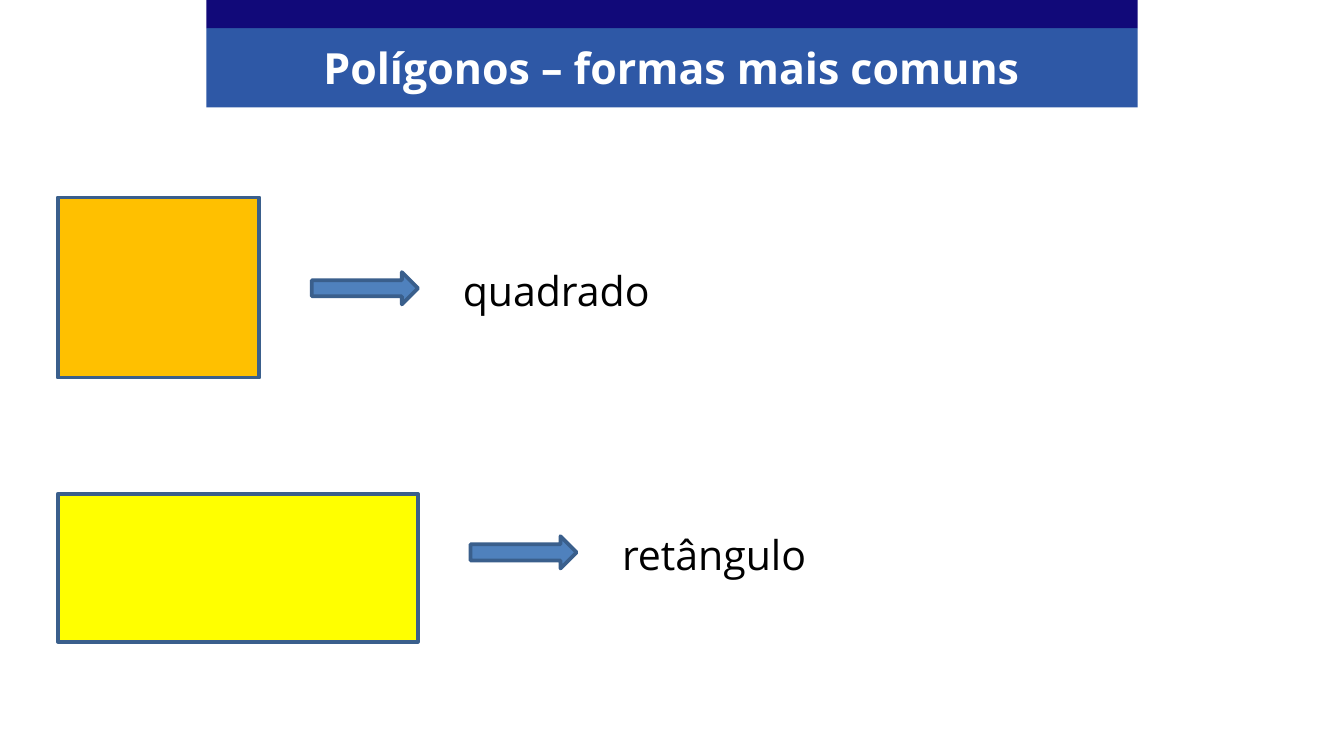
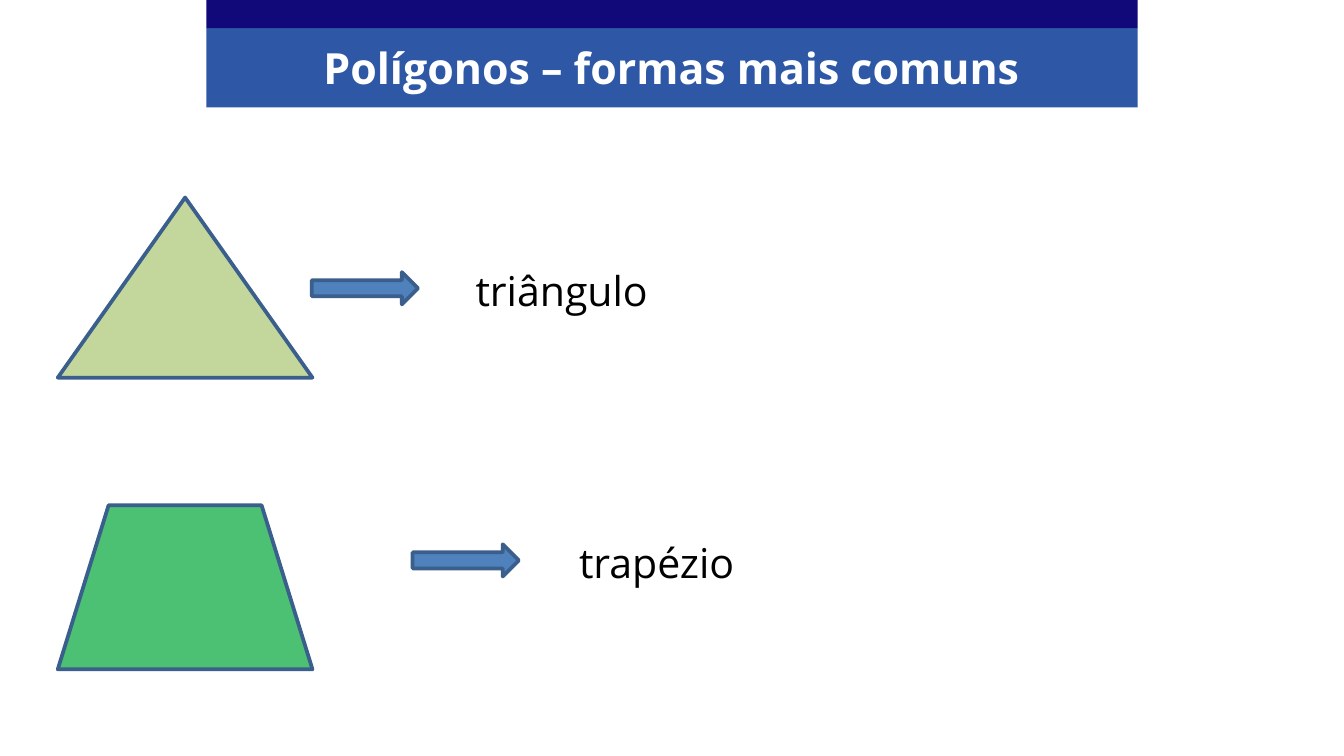
"""Build two slides that name the most common polygons."""
import pptx
import pptx.dml.color
import pptx.enum.shapes
import pptx.enum.text
import pptx.util

RGBColor = pptx.dml.color.RGBColor
Shape = pptx.enum.shapes.MSO_SHAPE
Align = pptx.enum.text.PP_ALIGN
Anchor = pptx.enum.text.MSO_ANCHOR
AutoSize = pptx.enum.text.MSO_AUTO_SIZE

NAVY = RGBColor(0x11, 0x09, 0x79)
BLUE = RGBColor(0x2E, 0x58, 0xA6)
ARROW = RGBColor(0x4F, 0x81, 0xBD)
OUTLINE = RGBColor(0x3A, 0x5F, 0x8C)
ORANGE = RGBColor(0xFF, 0xC0, 0x00)
YELLOW = RGBColor(0xFF, 0xFF, 0x00)
OLIVE = RGBColor(0xC3, 0xD6, 0x9B)
GREEN = RGBColor(0x4C, 0xC0, 0x73)
WHITE = RGBColor(0xFF, 0xFF, 0xFF)
BLACK = RGBColor(0x00, 0x00, 0x00)

FONT = "Open Sans"
PX = 4572
PAGE_WIDTH, PAGE_HEIGHT = 2000, 1125
BAND_LEFT, BAND_WIDTH = 307, 1386
POLYGON_LEFT = 86
TITLE = "Polígonos – formas mais comuns"

SLIDES = [
    [
        dict(name="quadrado", kind=Shape.RECTANGLE, color=ORANGE, top=294,
             size=(300, 268), arrow=(464, 405), label=(669, 378)),
        dict(name="retângulo", kind=Shape.RECTANGLE, color=YELLOW, top=735,
             size=(536, 220), arrow=(700, 798), label=(906, 378)),
    ],
    [
        dict(name="triângulo", kind=Shape.ISOSCELES_TRIANGLE, color=OLIVE, top=294,
             size=(379, 268), arrow=(464, 405), label=(688, 312)),
        dict(name="trapézio", kind=Shape.TRAPEZOID, color=GREEN, top=752,
             size=(379, 244), arrow=(614, 810), label=(842, 284), adjust=0.31),
    ],
]


def write(box, text, size=22, color=BLACK, bold=False, align=Align.LEFT,
          anchor=Anchor.TOP, fit=AutoSize.SHAPE_TO_FIT_TEXT):
    frame = box.text_frame
    frame.word_wrap = True
    frame.auto_size = fit
    frame.vertical_anchor = anchor
    para = frame.paragraphs[0]
    para.alignment = align
    span = para.add_run()
    span.text = text
    span.font.name = FONT
    span.font.size = pptx.util.Pt(size)
    span.font.bold = bold
    span.font.color.rgb = color


class Sheet:
    def __init__(self, deck):
        self.deck = deck
        self.page = None

    def place(self, *lengths):
        return [length * PX for length in lengths]

    def new_page(self, title):
        self.page = self.deck.slides.add_slide(self.deck.slide_layouts[5])
        self.shape(Shape.RECTANGLE, BAND_LEFT, 42, BAND_WIDTH, 118, BLUE)
        self.shape(Shape.RECTANGLE, BAND_LEFT, 0, BAND_WIDTH, 42, NAVY)
        self.title(title)

    def title(self, text):
        box = self.page.shapes.title
        box.left, box.top, box.width, box.height = self.place(BAND_LEFT, 51, BAND_WIDTH, 98)
        write(box, text, size=23, color=WHITE, bold=True, align=Align.CENTER,
              anchor=Anchor.MIDDLE, fit=AutoSize.NONE)
        box.element.getparent().append(box.element)

    def shape(self, kind, left, top, width, height, color, outlined=False, adjust=None):
        shape = self.page.shapes.add_shape(kind, *self.place(left, top, width, height))
        shape.shadow.inherit = False
        shape.fill.solid()
        shape.fill.fore_color.rgb = color
        if outlined:
            shape.line.color.rgb = OUTLINE
            shape.line.width = pptx.util.Pt(2)
        else:
            shape.line.fill.background()
        if adjust is not None:
            shape.adjustments[0] = adjust

    def label(self, text, left, top, width):
        write(self.page.shapes.add_textbox(*self.place(left, top, width, 94)), text)

    def polygon(self, name, kind, color, top, size, arrow, label, adjust=None):
        arrow_left, arrow_top = arrow
        label_left, label_width = label
        self.shape(kind, POLYGON_LEFT, top, *size, color, outlined=True, adjust=adjust)
        self.shape(Shape.RIGHT_ARROW, arrow_left, arrow_top, 158, 48, ARROW, outlined=True)
        self.label(name, label_left, arrow_top - 20, label_width)


def main():
    deck = pptx.Presentation()
    deck.slide_width, deck.slide_height = PAGE_WIDTH * PX, PAGE_HEIGHT * PX
    sheet = Sheet(deck)
    for polygons in SLIDES:
        sheet.new_page(TITLE)
        for polygon in polygons:
            sheet.polygon(**polygon)
    deck.save("out.pptx")


if __name__ == "__main__":
    main()
